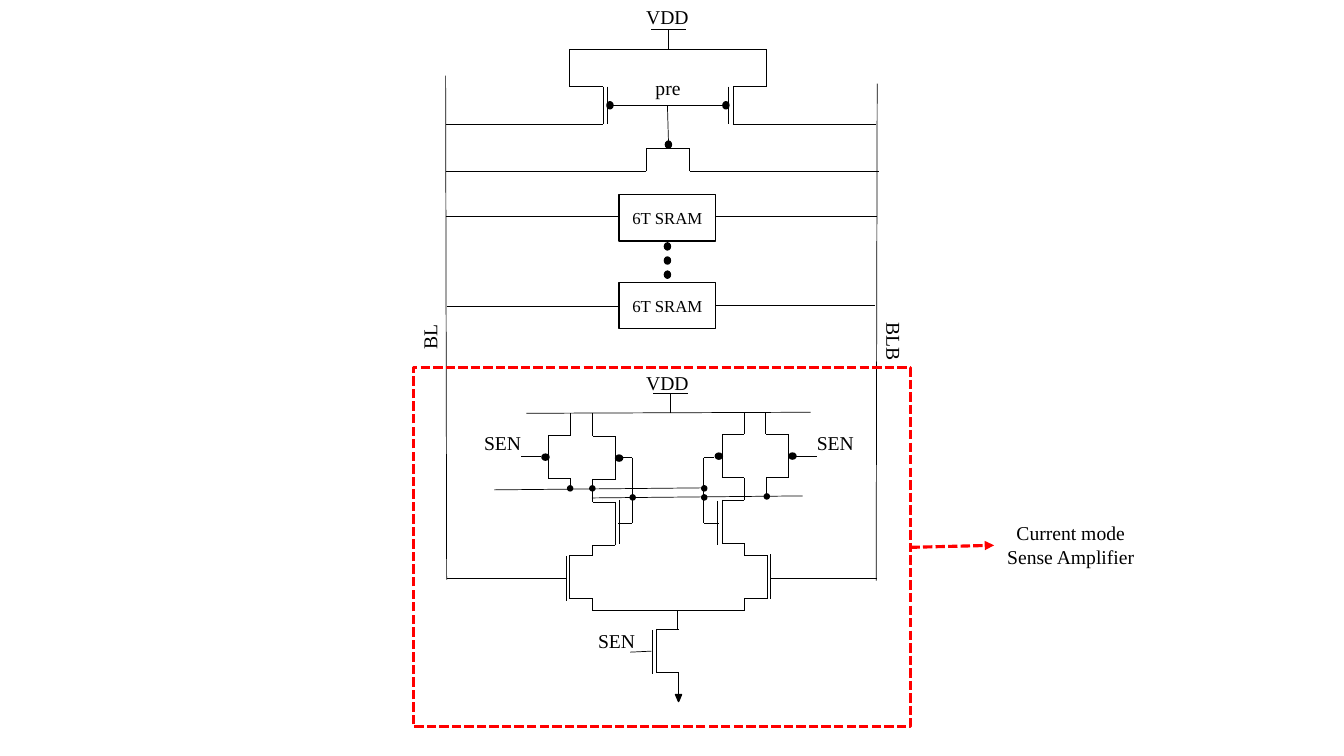
"""Draw an SRAM column with a current mode sense amplifier on a grid of 100 cells per inch."""
from lxml import etree
from pptx import Presentation
from pptx import util as u
from pptx.dml.color import RGBColor
from pptx.enum import dml, shapes, text
from pptx.oxml.ns import qn

CELL = u.Inches(0.01)
BLACK, WHITE, RED = "000000", "FFFFFF", "FF0000"
FONT = "Times New Roman"

deck = Presentation()
deck.slide_width, deck.slide_height = 1333 * CELL, 750 * CELL
slide = deck.slides.add_slide(deck.slide_layouts[6])
canvas = slide.shapes


def wire(*points, color=BLACK, width=0.5):
    """Join grid points with straight connectors and return the last one."""
    for start, end in zip(points, points[1:]):
        piece = canvas.add_connector(shapes.MSO_CONNECTOR.STRAIGHT,
                                     *[n * CELL for n in start + end])
        piece.line.color.rgb = RGBColor.from_string(color)
        piece.line.width = u.Pt(width)
        etree.SubElement(piece._element.spPr, qn("a:effectLst"))
    return piece


def outline(kind, left, top, width, height, fill=None, color=BLACK, weight=1):
    """Add a preset shape placed on the grid."""
    part = canvas.add_shape(kind, left * CELL, top * CELL, width * CELL, height * CELL)
    part.shadow.inherit = False
    if fill:
        part.fill.solid()
        part.fill.fore_color.rgb = RGBColor.from_string(fill)
    else:
        part.fill.background()
    part.line.color.rgb = RGBColor.from_string(color)
    part.line.width = u.Pt(weight)
    return part


bit_lines = [
    [(442, 75), (443, 575)],
    [(870, 83), (869, 576)],
]
precharge = [
    [(565, 49), (760, 49)],
    [(565, 49), (565, 86), (598, 86), (598, 123), (442, 123)],
    [(760, 49), (760, 86), (727, 86), (727, 123), (869, 123)],
    [(602, 86), (602, 123)],
    [(722, 86), (722, 123)],
    [(608, 105), (717, 105)],
    [(663, 140), (662, 105)],
    [(442, 170), (641, 170), (641, 147), (684, 147), (684, 170), (872, 170)],
]
cell_taps = [
    [(442, 215), (614, 215)],
    [(710, 215), (870, 215)],
    [(443, 304), (616, 304)],
    [(706, 303), (868, 303)],
]
latch = [
    [(522, 410), (804, 409)],
    [(566, 410), (566, 432)],
    [(588, 410), (588, 433)],
    [(738, 409), (738, 431)],
    [(759, 409), (759, 431)],
    [(566, 475), (566, 485)],
    [(588, 475), (588, 498)],
    [(738, 474), (738, 496)],
    [(760, 474), (760, 490)],
    [(490, 486), (698, 484)],
    [(587, 494), (796, 492)],
    [(617, 454), (627, 454), (627, 519), (613, 519)],
    [(708, 454), (698, 454), (698, 519), (713, 519)],
    [(588, 541), (588, 552)],
    [(738, 539), (738, 552)],
]
enable = [
    [(537, 453), (517, 453)],
    [(810, 453), (789, 453)],
    [(646, 646), (625, 647)],
    [(562, 574), (443, 574)],
    [(870, 574), (764, 574)],
    [(588, 594), (588, 606), (738, 606), (738, 594)],
    [(672, 606), (672, 624)],
    [(673, 668), (673, 689)],
]
for route in bit_lines + precharge + cell_taps + latch + enable:
    wire(*route)

for drain, channel, top in [(566, 544, 432), (760, 782, 431), (588, 610, 433), (738, 716, 431),
                            (738, 716, 496), (588, 610, 498), (588, 565, 551), (738, 761, 551),
                            (673, 651, 624)]:
    wire((drain, top), (channel, top), (channel, top + 43), (drain, top + 43))

for gate, top in [(712, 497), (614, 496), (562, 552), (764, 550), (647, 625)]:
    wire((gate, top), (gate, top + 44))

for middle, rail in [(663, 29), (665, 390)]:
    wire((middle - 17, rail), (middle + 17, rail))
    wire((middle, rail), (middle, rail + 20))

for top in (193, 280):
    memory = outline(shapes.MSO_SHAPE.RECTANGLE, 614, top, 96, 46, WHITE)
    memory.text_frame.vertical_anchor = text.MSO_ANCHOR.MIDDLE
    line = memory.text_frame.paragraphs[0]
    line.alignment = text.PP_ALIGN.CENTER
    run = line.add_run()
    run.text = "6T SRAM"
    run.font.name, run.font.size = FONT, u.Pt(12)
    run.font.color.rgb = RGBColor.from_string(BLACK)

ellipsis = [(659, 241 + 14 * step, 0) for step in range(3)]
inverters = [(660, 140, 0), (717, 101, 0), (602, 101, 0), (538, 450, 270),
             (783, 449, 90), (611, 451, 90), (710, 449, 270)]
for left, top, turn in ellipsis + inverters:
    outline(shapes.MSO_SHAPE.OVAL, left, top, 6, 7, BLACK).rotation = turn

for left, top in [(563, 482), (585, 482), (696, 482), (625, 491), (696, 491), (758, 490)]:
    outline(shapes.MSO_SHAPE.OVAL, left, top, 5, 5, BLACK)

ground = outline(shapes.MSO_SHAPE.ISOSCELES_TRIANGLE, 670, 689, 6, 7, BLACK)
ground.rotation = 180

amplifier = outline(shapes.MSO_SHAPE.RECTANGLE, 410, 365, 493, 356, color=RED, weight=2.25)
pointer = wire((903, 543), (986, 541), color=RED, width=2.25)
for dashed in (amplifier, pointer):
    dashed.line.dash_style = dml.MSO_LINE.SQUARE_DOT
etree.SubElement(pointer.line._get_or_add_ln(), qn("a:tailEnd"), type="triangle")

LEFT, CENTER = text.PP_ALIGN.LEFT, text.PP_ALIGN.CENTER
for words, left, top, width, height, turn, side in [
    ("VDD", 631, 0, 69, 34, 0, LEFT),
    ("pre", 628, 70, 69, 34, 0, CENTER),
    ("BL", 392, 317, 69, 34, 270, CENTER),
    ("BLB", 852, 322, 69, 34, 90, CENTER),
    ("VDD", 631, 363, 69, 34, 0, LEFT),
    ("SEN", 464, 423, 69, 34, 0, CENTER),
    ("SEN", 794, 423, 69, 34, 0, CENTER),
    ("SEN", 577, 619, 69, 34, 0, CENTER),
    ("Current mode Sense Amplifier", 986, 512, 152, 57, 0, CENTER),
]:
    label = canvas.add_textbox(left * CELL, top * CELL, width * CELL, height * CELL)
    label.rotation = turn
    label.text_frame.word_wrap = True
    label.text_frame.auto_size = text.MSO_AUTO_SIZE.SHAPE_TO_FIT_TEXT
    line = label.text_frame.paragraphs[0]
    line.alignment = side
    run = line.add_run()
    run.text = words
    run.font.name, run.font.size = FONT, u.Pt(14)
    run.font.color.rgb = RGBColor.from_string(BLACK)

deck.save("out.pptx")
